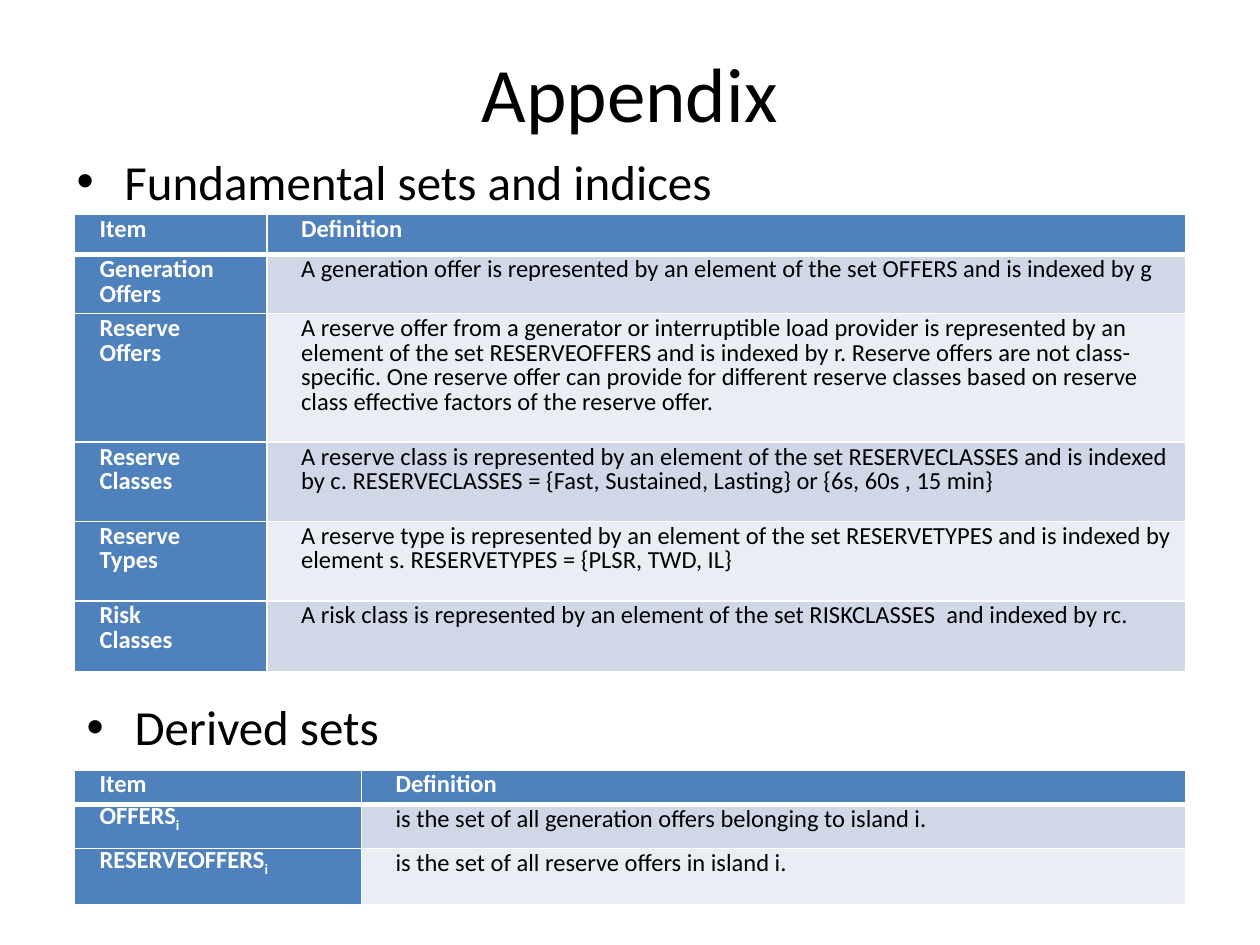
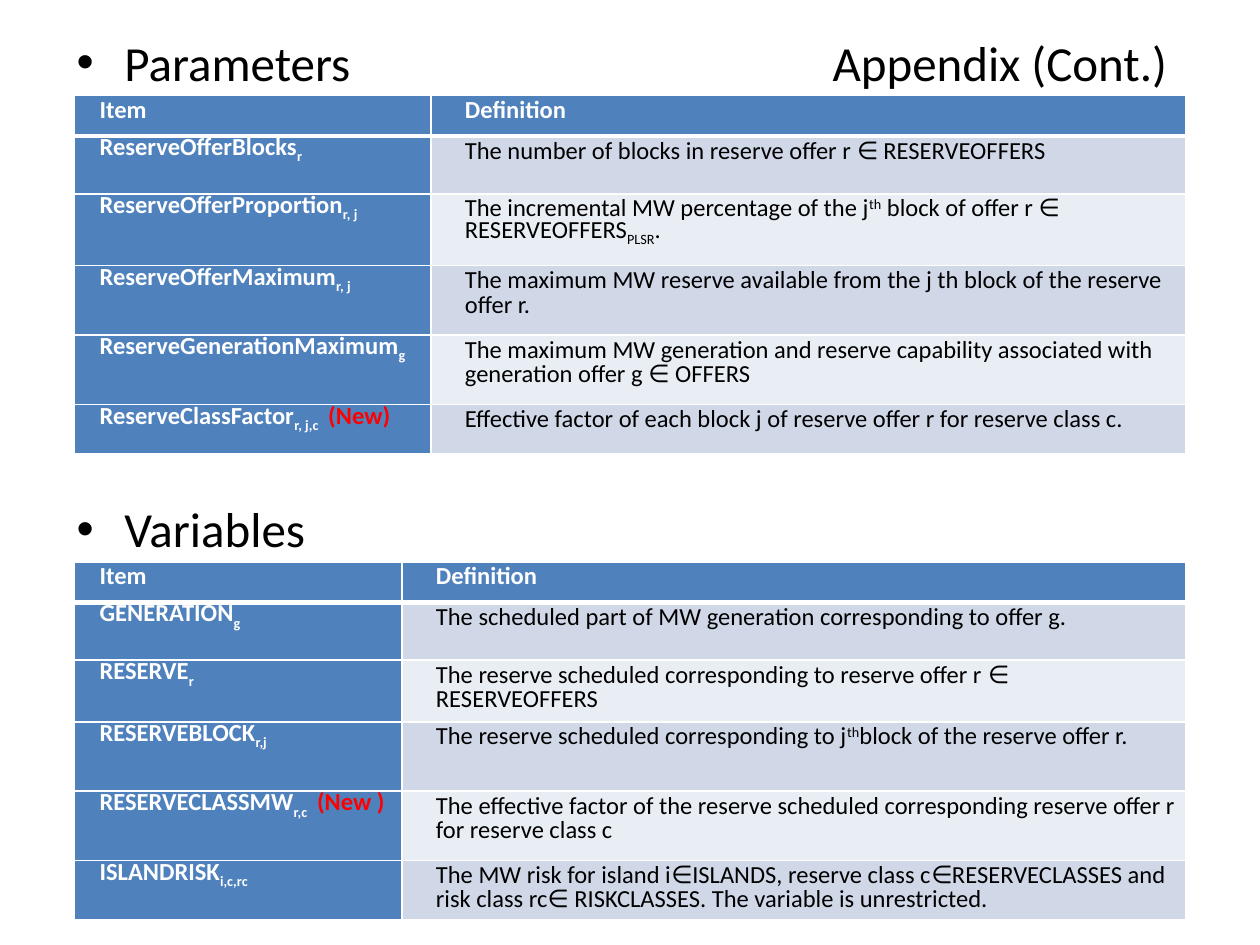
from lxml.etree import SubElement
from pptx import Presentation
from pptx.dml.color import RGBColor
from pptx.enum.text import MSO_ANCHOR, PP_ALIGN
from pptx.oxml.ns import qn
from pptx.util import Emu, Inches, Pt

# Shared look
COLOURS = {"ink": "000000", "paper": "FFFFFF", "head": "4F81BD",
           "band_dark": "D0D8E8", "band_light": "E9EDF4", "new": "FF0000"}
FONT = "Calibri"
SUB, SUPER = {"baseline": -25000}, {"baseline": 30000}
NEW = {"colour": "new"}
SLIDE_W, SLIDE_H = 10, 7.5
TABLE_LEFT, TABLE_W = 0.59, 8.82
TEXT_LEFT, TEXT_W = 0.51, 9
HEADING_H = 0.55
TITLE_TAB = 6
HEADER = ("Item", "Definition")

# Content: a cell is a string or a list of (text, style) runs
FUNDAMENTAL_SETS = [
    ("Generation Offers",
     "A generation offer is represented by an element of the set OFFERS and is indexed by g"),
    ("Reserve \nOffers",
     "A reserve offer from a generator or interruptible load provider is represented by an "
     "element of the set RESERVEOFFERS and is indexed by r. Reserve offers are not "
     "class-specific. One reserve offer can provide for different reserve classes based on "
     "reserve class effective factors of the reserve offer."),
    ("Reserve \nClasses",
     "A reserve class is represented by an element of the set RESERVECLASSES and is indexed "
     "by c. RESERVECLASSES = {Fast, Sustained, Lasting} or {6s, 60s , 15 min}"),
    ("Reserve\nTypes",
     "A reserve type is represented by an element of the set RESERVETYPES and is indexed by "
     "element s. RESERVETYPES = {PLSR, TWD, IL}"),
    ("Risk \nClasses",
     "A risk class is represented by an element of the set RISKCLASSES  and indexed by rc."),
]
DERIVED_SETS = [
    ([("OFFERS", {}), ("i", SUB)],
     "is the set of all generation offers belonging to island i."),
    ([("RESERVEOFFERS", {}), ("i", SUB)],
     "is the set of all reserve offers in island i."),
]
PARAMETERS = [
    ([("ReserveOfferBlocks", {}), ("r", SUB)],
     "The number of blocks in reserve offer r ∈ RESERVEOFFERS"),
    ([("ReserveOfferProportion", {}), ("r, j", SUB)],
     [("The incremental MW percentage of the j", {}), ("th", SUPER),
      (" block of offer r ∈ RESERVEOFFERS", {}), ("PLSR", SUB), (".", {})]),
    ([("ReserveOfferMaximum", {}), ("r, j ", SUB)],
     "The maximum MW reserve available from the j th block of the reserve offer r. "),
    ([("ReserveGenerationMaximum", {}), ("g", SUB)],
     "The maximum MW generation and reserve capability associated with generation offer "
     "g ∈ OFFERS"),
    ([("ReserveClassFactor", {}), ("r, j,c   ", SUB), ("(New)", NEW)],
     "Effective factor of each block j of reserve offer r for reserve class c."),
]
VARIABLES = [
    ([("GENERATION", {}), ("g", SUB)],
     "The scheduled part of MW generation corresponding to offer g."),
    ([("RESERVE", {}), ("r", SUB)],
     "The reserve scheduled corresponding to reserve offer r ∈ RESERVEOFFERS"),
    ([("RESERVEBLOCK", {}), ("r,j", SUB)],
     [("The reserve scheduled corresponding to j", {}), ("th", SUPER),
      ("block of the reserve offer r.", {})]),
    ([("RESERVECLASSMW", {}), ("r,c   ", SUB), ("(New )", NEW)],
     "The effective factor of the reserve scheduled corresponding reserve offer r for "
     "reserve class c"),
    ([("ISLANDRISK", {}), ("i,c,rc", SUB)],
     "The MW risk for island i∈ISLANDS, reserve class c∈RESERVECLASSES and risk class "
     "rc∈ RISKCLASSES. The variable is unrestricted."),
]

# Each section: heading and its place, table top, item column width, row heights, entries
SLIDES = [
    {"title": "Appendix", "sections": [
        ("Fundamental sets and indices", TEXT_LEFT, 1.15, 1.7, 1.53,
         (0.32, 0.46, 1.02, 0.63, 0.63, 0.56), FUNDAMENTAL_SETS),
        ("Derived sets", TABLE_LEFT, 5.48, 6.11, 2.28, (0.22, 0.35, 0.45), DERIVED_SETS)]},
    {"title": None, "sections": [
        ("Parameters\tAppendix (Cont.)", TEXT_LEFT, 0.21, 0.76, 2.83,
         (0.32, 0.46, 0.57, 0.55, 0.55, 0.39), PARAMETERS),
        ("Variables", TEXT_LEFT, 3.91, 4.46, 2.6,
         (0.32, 0.46, 0.49, 0.55, 0.55, 0.39), VARIABLES)]},
]


def rgb(name):
    return RGBColor.from_string(COLOURS[name])


def add_run(paragraph, text, size, colour="ink", bold=False, baseline=0):
    run = paragraph.add_run()
    run.text = text
    run.font.name, run.font.size, run.font.bold = FONT, Pt(size), bold
    run.font.color.rgb = rgb(colour)
    if baseline:
        run._r.get_or_add_rPr().set("baseline", str(baseline))


def add_text(slide, left, top, height):
    frame = slide.shapes.add_textbox(
        Inches(left), Inches(top), Inches(TEXT_W), Inches(height)).text_frame
    frame.word_wrap = True
    return frame


def add_title(slide, title):
    frame = add_text(slide, 0.5, 0.3, 0.85)
    frame.vertical_anchor = MSO_ANCHOR.MIDDLE
    frame.paragraphs[0].alignment = PP_ALIGN.CENTER
    add_run(frame.paragraphs[0], title, 44)


def add_heading(slide, heading, left, top):
    paragraph = add_text(slide, left, top, HEADING_H).paragraphs[0]
    paragraph.space_before = Pt(5.6)
    props = paragraph._p.get_or_add_pPr()
    props.set("marL", str(Inches(0.38)))
    props.set("indent", str(-Inches(0.38)))
    SubElement(props, qn("a:buFont"), typeface="Arial")
    SubElement(props, qn("a:buChar"), char="•")
    if "\t" in heading:
        stops = SubElement(props, qn("a:tabLst"))
        SubElement(stops, qn("a:tab"), pos=str(Inches(TITLE_TAB)), algn="l")
    add_run(paragraph, heading, 28)


def add_borders(cell, bottom):
    props = cell._tc.get_or_add_tcPr()
    for side, width in (("L", 1), ("R", 1), ("T", 1), ("B", bottom)):
        line = SubElement(props, qn("a:ln" + side), w=str(Pt(width)))
        fill = SubElement(line, qn("a:solidFill"))
        SubElement(fill, qn("a:srgbClr"), val=COLOURS["paper"])


def fill_cell(cell, content, row, column):
    is_head = row == 0 or column == 0
    add_borders(cell, 3 if row == 0 else 1)
    cell.fill.solid()
    cell.fill.fore_color.rgb = rgb(
        "head" if is_head else "band_dark" if row % 2 else "band_light")
    cell.margin_left = cell.margin_right = Inches(0.07 * column)
    cell.margin_top = cell.margin_bottom = Inches(0.04)
    if isinstance(content, str):
        lines = [[(line, {})] for line in content.split("\n")]
    else:
        lines = [content]
    frame = cell.text_frame
    for number, runs in enumerate(lines):
        paragraph = frame.add_paragraph() if number else frame.paragraphs[0]
        paragraph.line_spacing = Pt(14)
        paragraph._p.get_or_add_pPr().set("marL", str(Inches(0.2)))
        base = {"colour": "paper" if is_head else "ink", "bold": is_head}
        for text, style in runs:
            add_run(paragraph, text, 14, **{**base, **style})


def add_definitions(slide, top, item_w, heights, entries):
    rows = [HEADER] + entries
    table = slide.shapes.add_table(
        len(rows), len(HEADER), Inches(TABLE_LEFT), Inches(top),
        Inches(TABLE_W), Inches(sum(heights))).table
    table.horz_banding = False
    table.columns[0].width = Inches(item_w)
    table.columns[1].width = Emu(Inches(TABLE_W) - Inches(item_w))
    for r, (height, contents) in enumerate(zip(heights, rows)):
        table.rows[r].height = Inches(height)
        for c, content in enumerate(contents):
            fill_cell(table.cell(r, c), content, r, c)


# Build the deck
deck = Presentation()
deck.slide_width, deck.slide_height = Inches(SLIDE_W), Inches(SLIDE_H)
for page in SLIDES:
    slide = deck.slides.add_slide(deck.slide_layouts[6])
    if page["title"]:
        add_title(slide, page["title"])
    for heading, left, heading_top, table_top, item_w, heights, entries in page["sections"]:
        add_heading(slide, heading, left, heading_top)
        add_definitions(slide, table_top, item_w, heights, entries)
deck.save("out.pptx")
